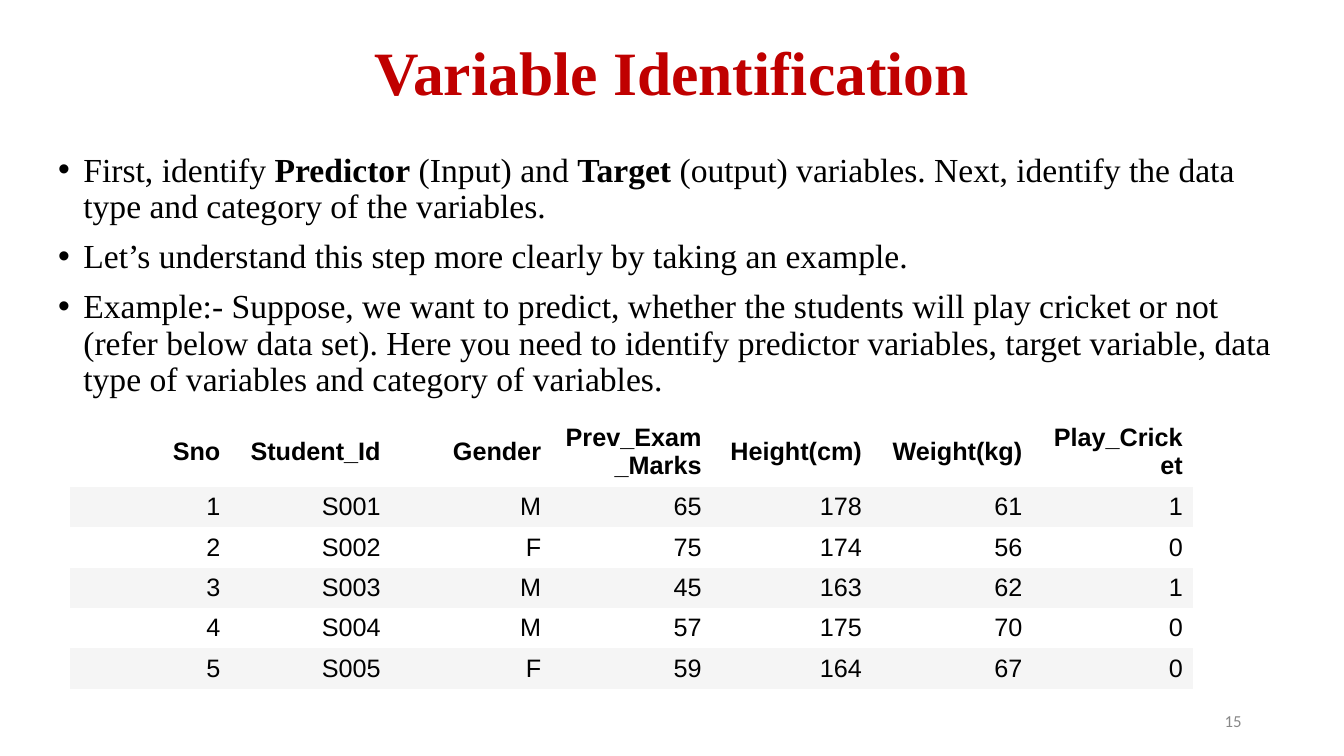
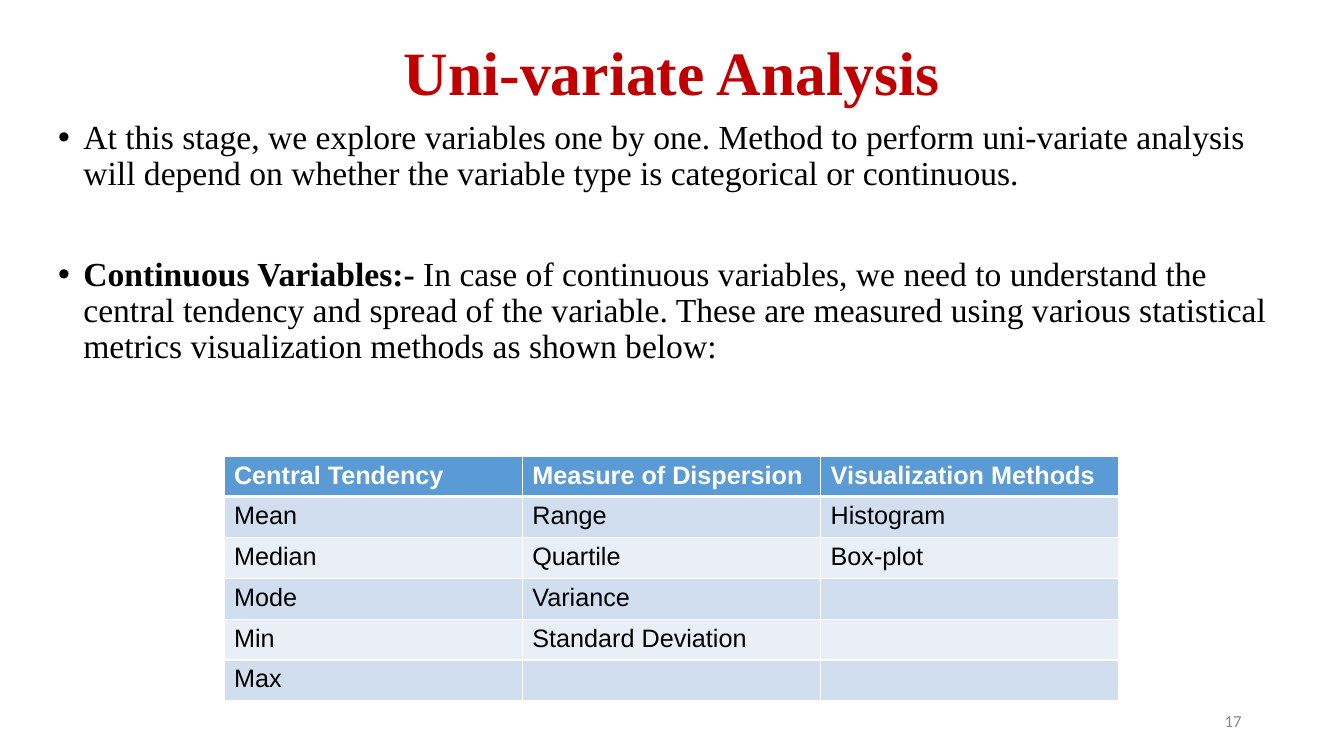
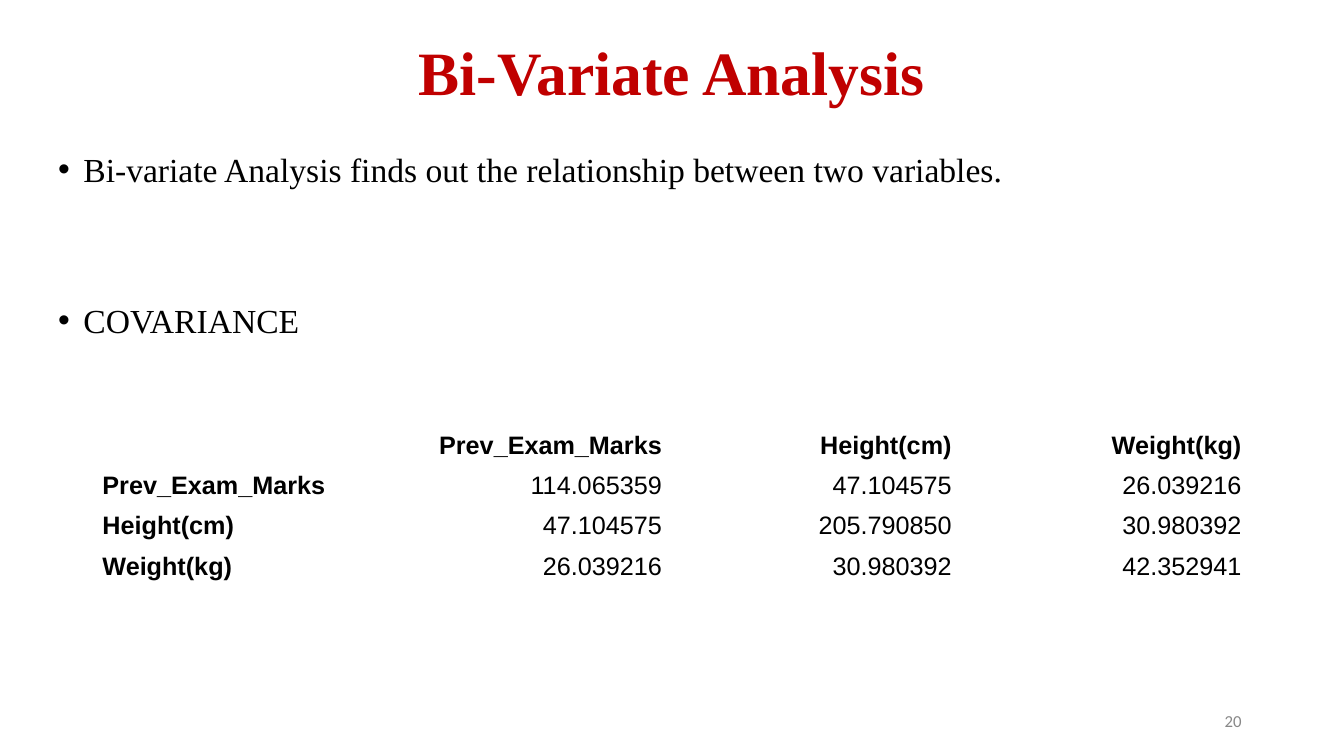
from dataclasses import dataclass

from lxml import etree
from pptx import Presentation
from pptx.dml.color import RGBColor
from pptx.enum.text import MSO_ANCHOR, PP_ALIGN
from pptx.oxml.ns import qn
from pptx.util import Pt

LEFT, CENTER, RIGHT = PP_ALIGN.LEFT, PP_ALIGN.CENTER, PP_ALIGN.RIGHT
TOP, MIDDLE = MSO_ANCHOR.TOP, MSO_ANCHOR.MIDDLE


@dataclass(frozen=True)
class Theme:
    red: str = "C00000"
    black: str = "000000"
    white: str = "FFFFFF"
    gray: str = "888888"
    band_gray: str = "F5F5F5"
    header_blue: str = "5B9BD5"
    band_blue: str = "D0DEEF"
    band_pale: str = "E9EFF7"
    text_font: str = "Times New Roman"
    table_font: str = "Arial"
    number_font: str = "Calibri"
    title_size: int = 44
    body_size: int = 24
    table_size: int = 18
    number_size: int = 12
    bullet_indent: int = 18
    bullet_gap: int = 10


THEME = Theme()
BODY_BOTTOM = 538

slides = [
    {
        "title": "Variable Identification",
        "number": "15",
        "body_top": 105.8,
        "bullets": [
            (0, [("First, identify ", False), ("Predictor", True), (" (Input) and ", False), ("Target", True),
                 (" (output) variables. Next, identify the data type and category of the variables.", False)]),
            (THEME.bullet_gap, [("Let’s understand this step more clearly by taking an example.", False)]),
            (THEME.bullet_gap, [("Example:- Suppose, we want to predict, whether the students will play cricket or not "
                                 "(refer below data set). Here you need to identify predictor variables, target "
                                 "variable, data type of variables and category of variables.", False)]),
        ],
        "table": {
            "left": 50, "top": 297.4, "column_width": 114.6, "row_height": 18,
            "alignment": RIGHT, "anchor": MIDDLE, "label_columns": 0, "border": 0,
            "header_color": THEME.black, "header_fill": None, "bands": [THEME.band_gray, None],
            "rows": [
                ["Sno", "Student_Id", "Gender", "Prev_Exam_Marks", "Height(cm)", "Weight(kg)", "Play_Cricket"],
                ["1", "S001", "M", "65", "178", "61", "1"],
                ["2", "S002", "F", "75", "174", "56", "0"],
                ["3", "S003", "M", "45", "163", "62", "1"],
                ["4", "S004", "M", "57", "175", "70", "0"],
                ["5", "S005", "F", "59", "164", "67", "0"],
            ],
        },
    },
    {
        "title": "Uni-variate Analysis",
        "number": "17",
        "body_top": 82.5,
        "bullets": [
            (0, [("At this stage, we explore variables one by one. Method to perform uni-variate analysis will "
                  "depend on whether the variable type is categorical or continuous.", False)]),
            (46, [("Continuous Variables:-", True),
                  (" In case of continuous variables, we need to understand the central tendency and spread of the "
                   "variable. These are measured using various statistical metrics visualization methods as shown "
                   "below:", False)]),
        ],
        "table": {
            "left": 160, "top": 325.8, "column_width": 213.1, "row_height": 29.2, "header_height": 18,
            "alignment": LEFT, "anchor": TOP, "label_columns": 0, "border": 1,
            "header_color": THEME.white, "header_fill": THEME.header_blue,
            "bands": [THEME.band_blue, THEME.band_pale],
            "rows": [
                ["Central Tendency", "Measure of Dispersion", "Visualization Methods"],
                ["Mean", "Range", "Histogram"],
                ["Median", "Quartile", "Box-plot"],
                ["Mode", "Variance", ""],
                ["Min", "Standard Deviation", ""],
                ["Max", "", ""],
            ],
        },
    },
    {
        "title": "Bi-Variate Analysis",
        "number": "20",
        "body_top": 105.8,
        "bullets": [
            (0, [("Bi-variate Analysis finds out the relationship between two variables.", False)]),
            (82, [("COVARIANCE", False)]),
        ],
        "table": {
            "left": 66, "top": 303.8, "column_width": 207, "row_height": 18,
            "alignment": RIGHT, "anchor": MIDDLE, "label_columns": 1, "border": 0,
            "header_color": THEME.black, "header_fill": None, "bands": [None],
            "rows": [
                ["", "Prev_Exam_Marks", "Height(cm)", "Weight(kg)"],
                ["Prev_Exam_Marks", "114.065359", "47.104575", "26.039216"],
                ["Height(cm)", "47.104575", "205.790850", "30.980392"],
                ["Weight(kg)", "26.039216", "30.980392", "42.352941"],
            ],
        },
    },
]


def add_run(paragraph, text, font_name, size, color, bold=False):
    run = paragraph.add_run()
    run.text = text
    run.font.name = font_name
    run.font.size = Pt(size)
    run.font.bold = bold
    run.font.color.rgb = RGBColor.from_string(color)


def add_text_frame(slide, left, top, width, height, anchor):
    """Add a wrapping text box and return its text frame."""
    shape = slide.shapes.add_textbox(Pt(left), Pt(top), Pt(width), Pt(height))
    shape.text_frame.word_wrap = True
    shape.text_frame.vertical_anchor = anchor
    return shape.text_frame


presentation = Presentation()
presentation.slide_width = Pt(960)
presentation.slide_height = Pt(540)
blank_layout = presentation.slide_layouts[6]

for content in slides:
    slide = presentation.slides.add_slide(blank_layout)

    title = add_text_frame(slide, 66, 1.5, 828, 104.4, MIDDLE).paragraphs[0]
    title.alignment = CENTER
    title.line_spacing = 0.9
    add_run(title, content["title"], THEME.text_font, THEME.title_size, THEME.red, True)

    body_top = content["body_top"]
    body = add_text_frame(slide, 34.5, body_top, 895, BODY_BOTTOM - body_top, TOP)
    for index, (space_before, runs) in enumerate(content["bullets"]):
        paragraph = body.add_paragraph() if index else body.paragraphs[0]
        properties = paragraph._p.get_or_add_pPr()
        properties.set("marL", str(Pt(THEME.bullet_indent)))
        properties.set("indent", str(-Pt(THEME.bullet_indent)))
        bullet_color = etree.SubElement(properties, qn("a:buClr"))
        etree.SubElement(bullet_color, qn("a:srgbClr"), val=THEME.black)
        etree.SubElement(properties, qn("a:buFont"), typeface=THEME.table_font)
        etree.SubElement(properties, qn("a:buChar"), char="•")
        paragraph.line_spacing = 0.9
        paragraph.space_before = Pt(space_before)
        for text, bold in runs:
            add_run(paragraph, text, THEME.text_font, THEME.body_size, THEME.black, bold)

    number = add_text_frame(slide, 678, 500.5, 216, 28.8, MIDDLE).paragraphs[0]
    number.alignment = RIGHT
    add_run(number, content["number"], THEME.number_font, THEME.number_size, THEME.gray)

    layout = content["table"]
    rows = layout["rows"]
    column_count = len(rows[0])
    table = slide.shapes.add_table(
        len(rows), column_count, Pt(layout["left"]), Pt(layout["top"]),
        Pt(layout["column_width"] * column_count), Pt(layout["row_height"] * len(rows))).table
    table.horz_banding = False
    for column in table.columns:
        column.width = Pt(layout["column_width"])

    for row_index, values in enumerate(rows):
        is_header = row_index == 0
        row_height = layout["row_height"]
        fill = layout["bands"][(row_index - 1) % len(layout["bands"])]
        color = THEME.black
        if is_header:
            row_height = layout.get("header_height", row_height)
            fill = layout["header_fill"]
            color = layout["header_color"]
        table.rows[row_index].height = Pt(row_height)

        for column_index, value in enumerate(values):
            cell = table.cell(row_index, column_index)
            is_label = column_index < layout["label_columns"]
            cell.vertical_anchor = layout["anchor"]

            cell_properties = cell._tc.get_or_add_tcPr()
            for side in ("lnL", "lnR", "lnT", "lnB"):
                under_header = (is_header and side == "lnB") or (row_index == 1 and side == "lnT")
                width = layout["border"] * (3 if under_header else 1)
                line = etree.SubElement(cell_properties, qn("a:" + side), w=str(Pt(width)))
                if width:
                    line_fill = etree.SubElement(line, qn("a:solidFill"))
                    etree.SubElement(line_fill, qn("a:srgbClr"), val=THEME.white)
                else:
                    etree.SubElement(line, qn("a:noFill"))

            if fill:
                cell.fill.solid()
                cell.fill.fore_color.rgb = RGBColor.from_string(fill)
            else:
                cell.fill.background()

            if value:
                paragraph = cell.text_frame.paragraphs[0]
                paragraph.alignment = LEFT if is_label else layout["alignment"]
                add_run(paragraph, value, THEME.table_font, THEME.table_size, color, is_header or is_label)

presentation.save("out.pptx")
